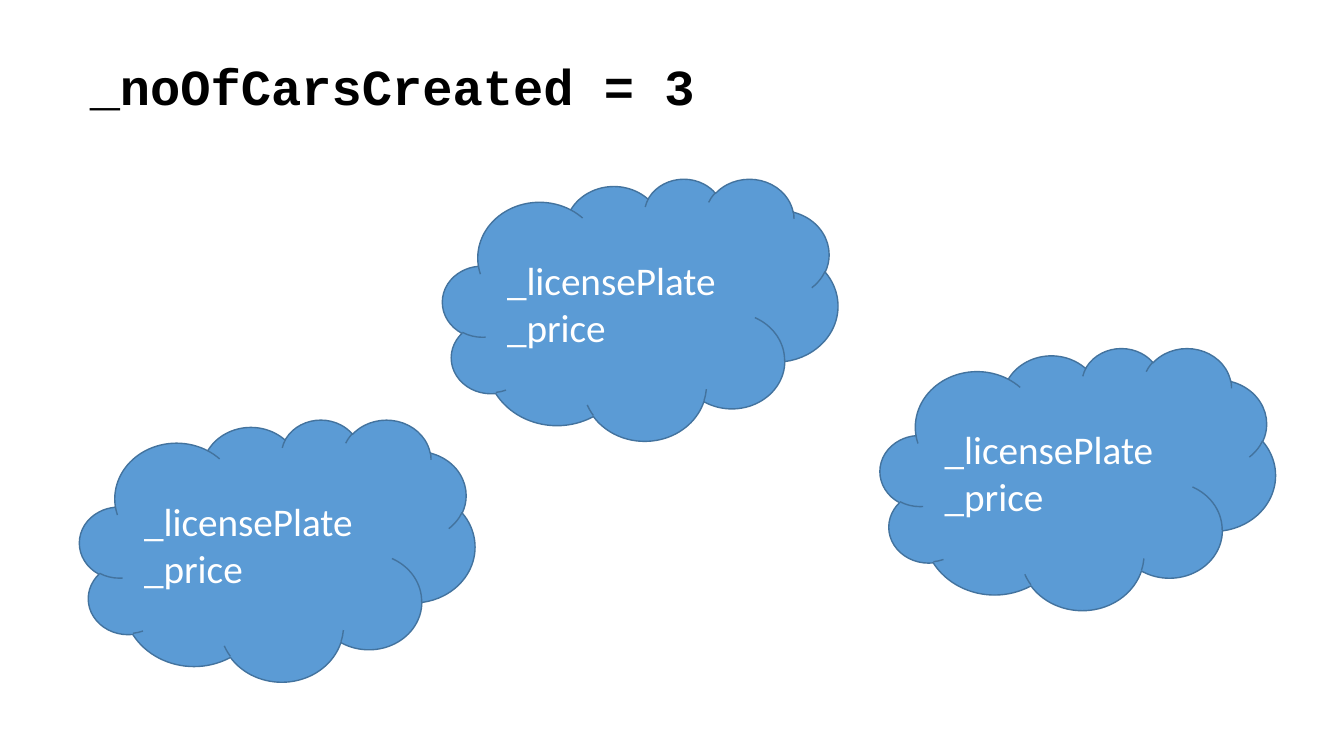
from pptx import Presentation
from pptx.dml.color import RGBColor
from pptx.enum.shapes import MSO_SHAPE as Shape
from pptx.enum.text import MSO_ANCHOR as Anchor, MSO_AUTO_SIZE as Fit, PP_ALIGN as Align
from pptx.util import Pt

PX = 9144


def tint(code):
    return RGBColor.from_string(code)


def write(frame, lines, color, style):
    frame.text = "\n".join(lines)
    for para in frame.paragraphs:
        para.alignment = Align.LEFT
        for key, value in style.items():
            setattr(para.font, key, value)
        para.font.color.rgb = tint(color)


deck = Presentation()
deck.slide_width, deck.slide_height = 1333 * PX, 750 * PX
slide = deck.slides.add_slide(deck.slide_layouts[5])

title = slide.shapes.title
place = {"left": 79, "top": 50, "width": 664, "height": 71}
for key, value in place.items():
    setattr(title, key, value * PX)
frame = title.text_frame
setup = {"word_wrap": True, "auto_size": Fit.SHAPE_TO_FIT_TEXT,
         "vertical_anchor": Anchor.TOP}
for key, value in setup.items():
    setattr(frame, key, value)
write(frame, ["_noOfCarsCreated = 3"], "000000",
      {"name": "Courier New", "size": Pt(36), "bold": True})

for left, top in [(439, 177), (873, 345), (79, 416)]:
    cloud = slide.shapes.add_shape(
        Shape.CLOUD, left * PX, top * PX, 392 * PX, 260 * PX)
    cloud.shadow.inherit = False
    cloud.fill.solid()
    cloud.fill.fore_color.rgb = tint("5B9BD5")
    cloud.line.color.rgb = tint("43739E")
    cloud.line.width = Pt(1)
    cloud.text_frame.vertical_anchor = Anchor.MIDDLE
    write(cloud.text_frame, ["_licensePlate", "_price"], "FFFFFF",
          {"name": "Calibri", "size": Pt(28)})

deck.save("out.pptx")
